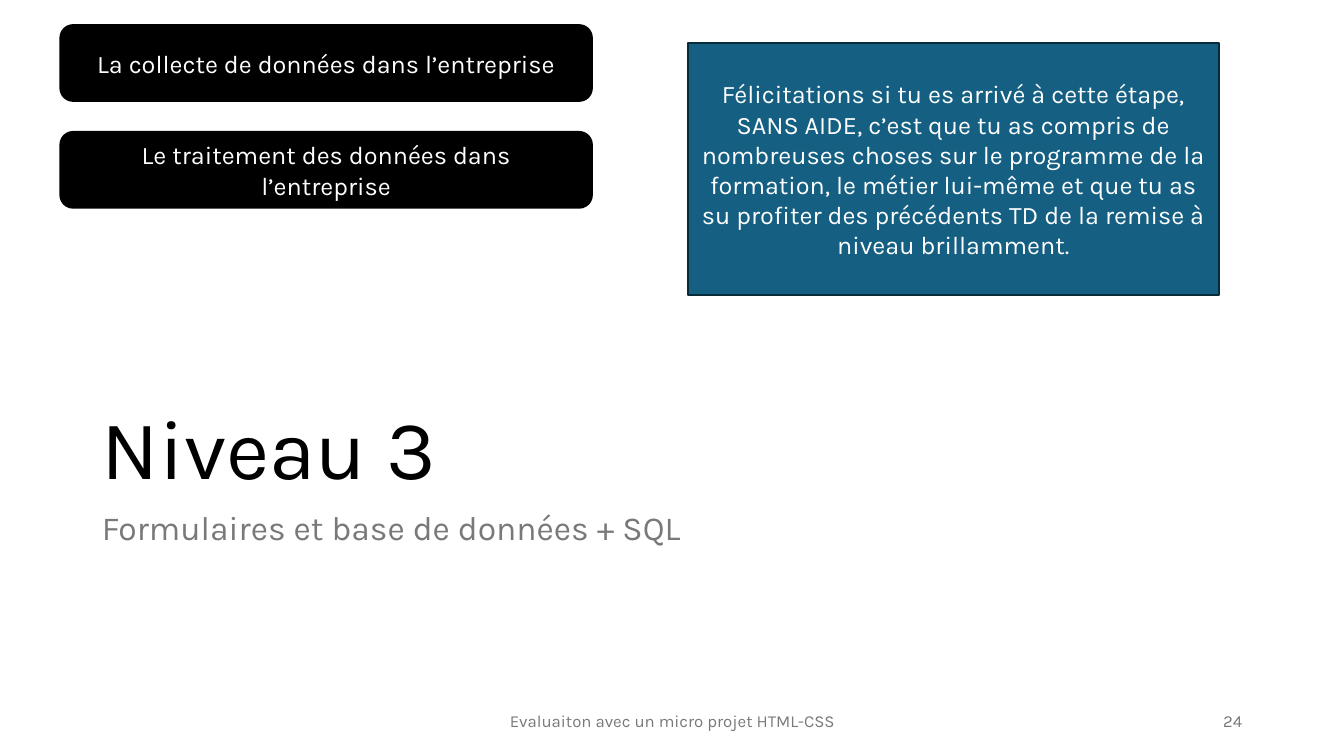
"""Build the section slide "Niveau 3" with its topic boxes and congratulations panel."""
from pptx import Presentation
from pptx.dml.color import RGBColor
from pptx.enum import shapes, text
from pptx.util import Inches, Pt

LEFT, CENTER, RIGHT = text.PP_ALIGN.LEFT, text.PP_ALIGN.CENTER, text.PP_ALIGN.RIGHT
TOP, MIDDLE, BOTTOM = text.MSO_ANCHOR.TOP, text.MSO_ANCHOR.MIDDLE, text.MSO_ANCHOR.BOTTOM
GREY = "797979"


def color(hex_value):
    return RGBColor.from_string(hex_value)


def write(shape, content, size=18, ink="FFFFFF", align=CENTER, anchor=MIDDLE, spacing=1.0, before=0):
    frame = shape.text_frame
    frame.word_wrap = True
    frame.auto_size = text.MSO_AUTO_SIZE.NONE
    frame.vertical_anchor = anchor
    paragraph = frame.paragraphs[0]
    paragraph.alignment = align
    paragraph.line_spacing = spacing
    paragraph.space_before = Pt(before)
    run = paragraph.add_run()
    run.text = content
    run.font.name = "Karla"
    run.font.size = Pt(size)
    run.font.bold = False
    run.font.color.rgb = color(ink)
    run.font._element.set("cap", "none")


presentation = Presentation()
presentation.slide_width = Inches(13.33)
presentation.slide_height = Inches(7.5)
slide = presentation.slides.add_slide(presentation.slide_layouts.get_by_name("Section Header"))

headings = [
    (slide.shapes.title, 1.87, 3.12, "Niveau 3",
     dict(size=60, ink="000000", anchor=BOTTOM)),
    (slide.placeholders[1], 5.02, 1.64, "Formulaires et base de données + SQL",
     dict(size=24, ink=GREY, anchor=TOP, before=10)),
]
for placeholder, top, height, content, style in headings:
    placeholder.left, placeholder.top = Inches(0.91), Inches(top)
    placeholder.width, placeholder.height = Inches(11.5), Inches(height)
    write(placeholder, content, align=LEFT, spacing=0.9, **style)

ROUNDED, RECTANGLE = shapes.MSO_SHAPE.ROUNDED_RECTANGLE, shapes.MSO_SHAPE.RECTANGLE
boxes = [
    (ROUNDED, 0.6, 0.25, 0.75, "000000", "000000", "La collecte de données dans l’entreprise"),
    (ROUNDED, 0.6, 1.31, 0.75, "000000", "000000", "Le traitement des données dans l’entreprise"),
    (RECTANGLE, 6.82, 0.43, 2.5, "156082", "092A39",
     "Félicitations si tu es arrivé à cette étape, SANS AIDE, c’est que tu as compris de "
     "nombreuses choses sur le programme de la formation, le métier lui-même et que tu as "
     "su profiter des précédents TD de la remise à niveau brillamment."),
]
for kind, left, top, height, fill, line, content in boxes:
    box = slide.shapes.add_shape(kind, Inches(left), Inches(top), Inches(5.27), Inches(height))
    box.shadow.inherit = False
    box.fill.solid()
    box.fill.fore_color.rgb = color(fill)
    box.line.color.rgb = color(line)
    box.line.width = Pt(1.5)
    write(box, content)

footers = [
    (4.42, 4.5, CENTER, "Evaluaiton avec un micro projet HTML-CSS"),
    (9.42, 3, RIGHT, "24"),
]
for left, width, align, content in footers:
    footer = slide.shapes.add_textbox(Inches(left), Inches(6.95), Inches(width), Inches(0.4))
    write(footer, content, size=12, ink=GREY, align=align)

presentation.save("out.pptx")
